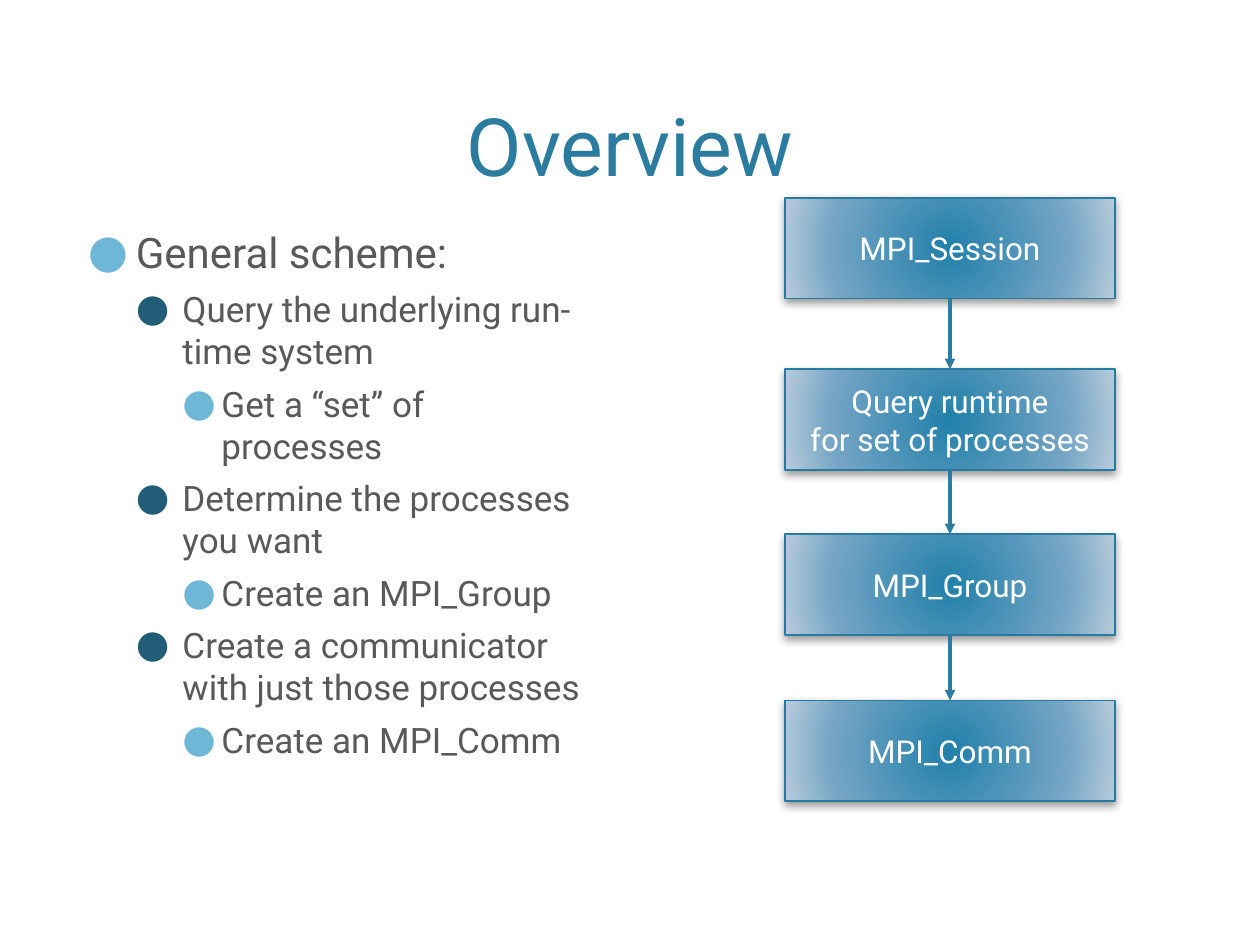
import itertools

import lxml.etree
import pptx
import pptx.dml.color
import pptx.enum.shapes
import pptx.enum.text
import pptx.oxml
import pptx.oxml.ns
import pptx.util

THEME = {
    "font": "Roboto",
    "title": "2C7C9F", "body": "595959", "box_text": "FFFFFF",
    "box_line": "287A9E", "arrow": "2C7C9F", "shadow": "000000",
    "gradient": [(0, "2180AA"), (69, "75A5C5"), (100, "B8CCDC")],
    "title_size": 46, "box_size": 18,
    # Per outline level: type size, left margin and hanging indent (inches), bullet colour
    "levels": [(24, 0.38, 0.38, "6FB7D7"), (20, 0.75, 0.37, "215D77"), (20, 1.06, 0.31, "6FB7D7")],
}
NS = pptx.oxml.ns.nsdecls("a")
ALIGN = pptx.enum.text.PP_ALIGN
ANCHOR = pptx.enum.text.MSO_ANCHOR

deck = pptx.Presentation()
deck.slide_width = pptx.util.Inches(10)
deck.slide_height = pptx.util.Inches(7.5)
slide = deck.slides.add_slide(deck.slide_layouts[6])
col, row = deck.slide_width / 100, deck.slide_height / 100


def place(left, top, width, height):
    """Turn percentages of the slide into a position and size."""
    return [round(v) for v in (left * col, top * row, width * col, height * row)]


def add_text(paragraph, text, size, colour):
    run = paragraph.add_run()
    run.text = text
    run.font.name = THEME["font"]
    run.font.size = pptx.util.Pt(size)
    run.font.color.rgb = pptx.dml.color.RGBColor.from_string(colour)


# Title
title = slide.shapes.add_textbox(*place(6, 1.6, 88, 19.47)).text_frame
title.word_wrap = True
title.vertical_anchor = ANCHOR.BOTTOM
title.paragraphs[0].alignment = ALIGN.CENTER
add_text(title.paragraphs[0], "Overview", THEME["title_size"], THEME["title"])

# Outline of the scheme
outline = [
    (0, "General scheme:"),
    (1, "Query the underlying run-time system"),
    (2, "Get a “set” of processes"),
    (1, "Determine the processes you want"),
    (2, "Create an MPI_Group"),
    (1, "Create a communicator with just those processes"),
    (2, "Create an MPI_Comm"),
]
scheme = slide.shapes.add_textbox(*place(6, 23.33, 42, 63.33)).text_frame
scheme.word_wrap = True
for i, (level, text) in enumerate(outline):
    size, margin, hanging, bullet_colour = THEME["levels"][level]
    paragraph = scheme.paragraphs[0] if i == 0 else scheme.add_paragraph()
    paragraph.level = level
    if i:
        paragraph.space_before = pptx.util.Pt(6)
    properties = paragraph._p.get_or_add_pPr()
    properties.set("marL", str(pptx.util.Inches(margin)))
    properties.set("indent", str(-pptx.util.Inches(hanging)))
    for bullet in (
        f'<a:buClr {NS}><a:srgbClr val="{bullet_colour}"/></a:buClr>',
        f'<a:buSzPct {NS} val="110000"/>',
        f'<a:buFont {NS} typeface="{THEME["font"]}"/>',
        f'<a:buChar {NS} char="●"/>',
    ):
        properties.append(pptx.oxml.parse_xml(bullet))
    add_text(paragraph, text, size, THEME["body"])

# Flow from session to communicator
steps = [
    (20.93, ["MPI_Session"]),
    (39.07, ["Query runtime", "for set of processes"]),
    (56.53, ["MPI_Group"]),
    (74.13, ["MPI_Comm"]),
]
stops = "".join(f'<a:gs pos="{position * 1000}"><a:srgbClr val="{colour}"/></a:gs>'
                for position, colour in THEME["gradient"])
boxes = []
for top, lines in steps:
    box = slide.shapes.add_shape(pptx.enum.shapes.MSO_SHAPE.RECTANGLE, *place(62.3, top, 26.2, 10.67))
    box.line.color.rgb = pptx.dml.color.RGBColor.from_string(THEME["box_line"])
    box.line.width = pptx.util.Pt(1)
    box._element.spPr.find(pptx.oxml.ns.qn("a:prstGeom")).addnext(pptx.oxml.parse_xml(
        f'<a:gradFill {NS} rotWithShape="1"><a:gsLst>{stops}</a:gsLst><a:path path="circle">'
        '<a:fillToRect l="100000" t="100000" r="100000" b="100000"/></a:path></a:gradFill>'))
    box.shadow.inherit = False
    box._element.spPr.find(pptx.oxml.ns.qn("a:effectLst")).append(pptx.oxml.parse_xml(
        f'<a:outerShdw {NS} blurRad="{pptx.util.Pt(5)}" dist="{pptx.util.Pt(2)}" dir="5400000" '
        f'rotWithShape="0"><a:srgbClr val="{THEME["shadow"]}"><a:alpha val="40000"/></a:srgbClr>'
        '</a:outerShdw>'))
    box.text_frame.word_wrap = True
    box.text_frame.vertical_anchor = ANCHOR.MIDDLE
    label = box.text_frame.paragraphs[0]
    label.alignment = ALIGN.CENTER
    for i, line in enumerate(lines):
        if i:
            label.add_line_break()
        add_text(label, line, THEME["box_size"], THEME["box_text"])
    boxes.append(box)

for upper, lower in zip(boxes, itertools.islice(boxes, 1, None)):
    arrow = slide.shapes.add_connector(pptx.enum.shapes.MSO_CONNECTOR.STRAIGHT, 0, 0, 0, 0)
    arrow.begin_connect(upper, 2)
    arrow.end_connect(lower, 0)
    arrow.line.color.rgb = pptx.dml.color.RGBColor.from_string(THEME["arrow"])
    arrow.line.width = pptx.util.Pt(2)
    line_properties = arrow._element.spPr.find(pptx.oxml.ns.qn("a:ln"))
    lxml.etree.SubElement(line_properties, pptx.oxml.ns.qn("a:tailEnd"), type="triangle")
    lxml.etree.SubElement(arrow._element.spPr, pptx.oxml.ns.qn("a:effectLst"))

deck.save("out.pptx")
